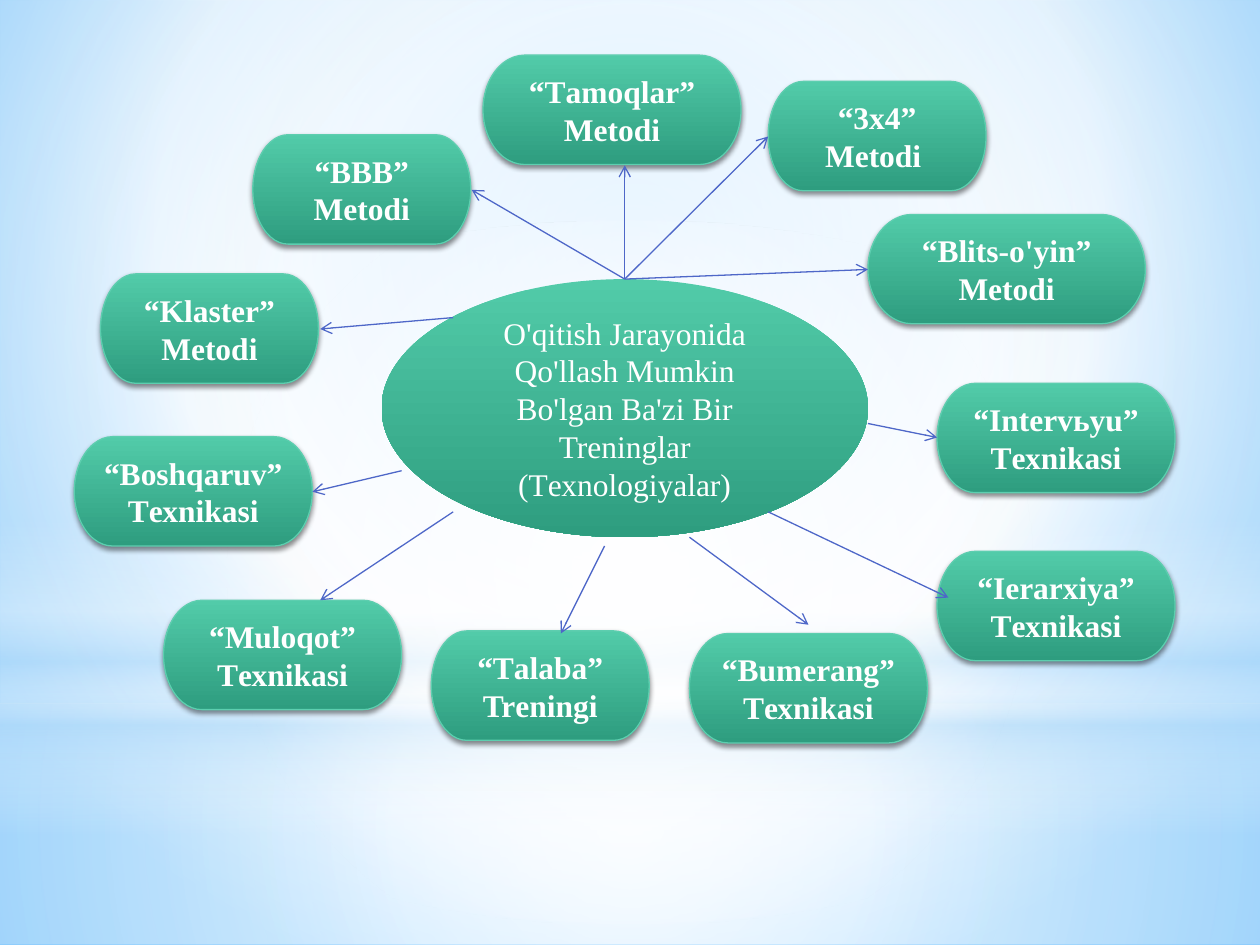
from pptx import Presentation
from pptx.dml.color import RGBColor as RGB
from pptx.enum.shapes import MSO_CONNECTOR as LINK, MSO_SHAPE as KIND
from pptx.enum.text import MSO_ANCHOR as ANCHOR, PP_ALIGN as ALIGN
from pptx.oxml.ns import qn
from pptx.util import Pt
from lxml.etree import SubElement as Sub

WHITE = RGB(0xFF, 0xFF, 0xFF)
BLACK = RGB(0, 0, 0)
SKY = RGB(0xB4, 0xDC, 0xFA)
LIGHT = RGB(0x9E, 0xD5, 0xFF)
DEEP = RGB(0x5B, 0xB9, 0xFF)
MINT = RGB(0x52, 0xCB, 0xA9)
GREEN = RGB(0x2E, 0x9D, 0x7F)
EDGE = RGB(0x5D, 0xCE, 0xAF)
BLUE = RGB(0x4E, 0x67, 0xC8)

CENTER = (50, 50, 50, 50)
SHADE = [(0, MINT), (100, GREEN)]


class Board:
    font = dict(name="Times New Roman", size=Pt(18))
    frame = dict(word_wrap=True, vertical_anchor=ANCHOR.MIDDLE)

    def __init__(self, deck):
        self.slide = deck.slides.add_slide(deck.slide_layouts[6])
        self.shapes = self.slide.shapes

    def put(self, item, values):
        for name, value in values.items():
            setattr(item, name, value)

    def tint(self, parent, color, alpha):
        node = Sub(parent, qn("a:srgbClr"), val=str(color))
        if alpha < 100:
            Sub(node, qn("a:alpha"), val=str(alpha * 1000))

    def blend(self, fill, root, stops, focus=None):
        """Linear top to bottom, or circular around the focus insets."""
        fill.gradient()
        grad = next(root.iter(qn("a:gradFill")))
        for node in list(grad):
            grad.remove(node)
        row = Sub(grad, qn("a:gsLst"))
        for pos, color, *alpha in stops:
            stop = Sub(row, qn("a:gs"), pos=str(pos * 1000))
            self.tint(stop, color, alpha[0] if alpha else 100)
        if focus:
            ring = Sub(grad, qn("a:path"), path="circle")
            sides = {k: str(v * 1000) for k, v in zip("ltrb", focus)}
            Sub(ring, qn("a:fillToRect"), **sides)
        else:
            Sub(grad, qn("a:lin"), ang="5400000", scaled="0")

    def back(self, stops, focus):
        self.blend(self.slide.background.fill, self.slide.element, stops, focus)

    def form(self, kind, box, stops, focus=None):
        shape = self.shapes.add_shape(kind, *map(Pt, box))
        shape.shadow.inherit = False
        shape.line.fill.background()
        self.blend(shape.fill, shape.element, stops, focus)
        return shape

    def text(self, shape, words, bold=False):
        self.put(shape.text_frame, self.frame)
        para = shape.text_frame.paragraphs[0]
        para.alignment = ALIGN.CENTER
        run = para.add_run()
        run.text = words
        self.put(run.font, dict(self.font, bold=bold))
        run.font.color.rgb = WHITE

    def hub(self, box, words):
        self.text(self.form(KIND.OVAL, box, SHADE), words)

    def pill(self, box, words):
        shape = self.form(KIND.FLOWCHART_TERMINATOR, box, SHADE)
        shape.line.color.rgb = EDGE
        shape.line.width = Pt(0.75)
        effect = next(shape.element.iter(qn("a:effectLst")))
        shadow = Sub(effect, qn("a:outerShdw"), blurRad=str(Pt(3.1)),
                     dist=str(Pt(1.8)), dir="5400000", rotWithShape="0")
        self.tint(shadow, BLACK, 45)
        self.text(shape, words, bold=True)

    def arrow(self, start, end):
        link = self.shapes.add_connector(LINK.STRAIGHT, *map(Pt, start + end))
        link.line.color.rgb = BLUE
        link.line.width = Pt(0.75)
        props = link.element.spPr
        Sub(props.find(qn("a:ln")), qn("a:tailEnd"), type="arrow")
        Sub(props, qn("a:effectLst"))


deck = Presentation()
deck.slide_width, deck.slide_height = Pt(720), Pt(540)
board = Board(deck)

# Background glow
board.back([(0, LIGHT), (60, WHITE), (100, DEEP)], (20, 10, 20, 60))
board.form(KIND.RECTANGLE, (0, 402, 720, 138),
           [(0, WHITE, 91), (37, WHITE, 76), (100, SKY, 79)], CENTER)
board.form(KIND.RECTANGLE, (0, 0, 720, 402),
           [(0, WHITE, 89), (48, WHITE, 62), (100, SKY, 79)], CENTER)
board.form(KIND.RECTANGLE, (0, 297, 720, 180),
           [(0, WHITE, 0), (29, WHITE, 30), (45, SKY, 40),
            (55, WHITE, 26), (65, SKY, 60), (100, WHITE, 0)])
board.form(KIND.OVAL, (0, 126, 720, 402),
           [(0, WHITE), (56, WHITE, 0)], CENTER)

# Central topic
board.hub((218, 159.5, 278, 147.5),
          "O'qitish Jаrаyonidа Qo'llаsh Mumkin Bo'lgаn Bа'zi Bir "
          "Trеninglаr (Tехnоlоgiyalаr)")

# Methods around it: left, top, width, words
METHOD, SKILL = "Mеtоdi", "Tехnikаsi"
SMALL, MID, TALL = 124.5, 136, 62.5
PILLS = [
    (276, 31.5, 147.5, f"“Tаmоqlаr” {METHOD}"),
    (144.5, 77, SMALL, f"“BBB” {METHOD}"),
    (439, 46.5, SMALL, f"“3х4” {METHOD} "),
    (496, 122.5, 158.5, f"“Blits-o'yin” {METHOD}"),
    (535.5, 219, MID, f"“Intеrvьyu” {SKILL}"),
    (535.5, 315, MID, f"“Iеrаrхiya” {SKILL}"),
    (394, 362, MID, f"“Bumеrаng” {SKILL}"),
    (246.5, 360.5, SMALL, "“Tаlаbа” Trеningi"),
    (93.5, 343, MID, f"“Mulоqоt” {SKILL}"),
    (42.5, 249.5, MID, f"“Bоshqаruv” {SKILL}"),
    (57.5, 156.5, SMALL, f"“Klаstеr” {METHOD}"),
]
for left, top, width, words in PILLS:
    board.pill((left, top, width, TALL), words)

# Arrows from the topic to the methods
TOP = (357, 159.5)
ARROWS = [
    (TOP, (357, 94.5)),
    (TOP, (439, 78)),
    (TOP, (496, 154)),
    (TOP, (269.5, 108.5)),
    ((259, 181.5), (183, 188)),
    ((229.5, 269), (178.5, 281)),
    ((345.5, 312), (320.5, 362)),
    ((394, 307), (462, 357)),
    ((439, 292.5), (542, 341.5)),
    ((496, 242), (535.5, 250)),
    ((259, 292.5), (183, 343)),
]
for start, end in ARROWS:
    board.arrow(start, end)

deck.save("out.pptx")
